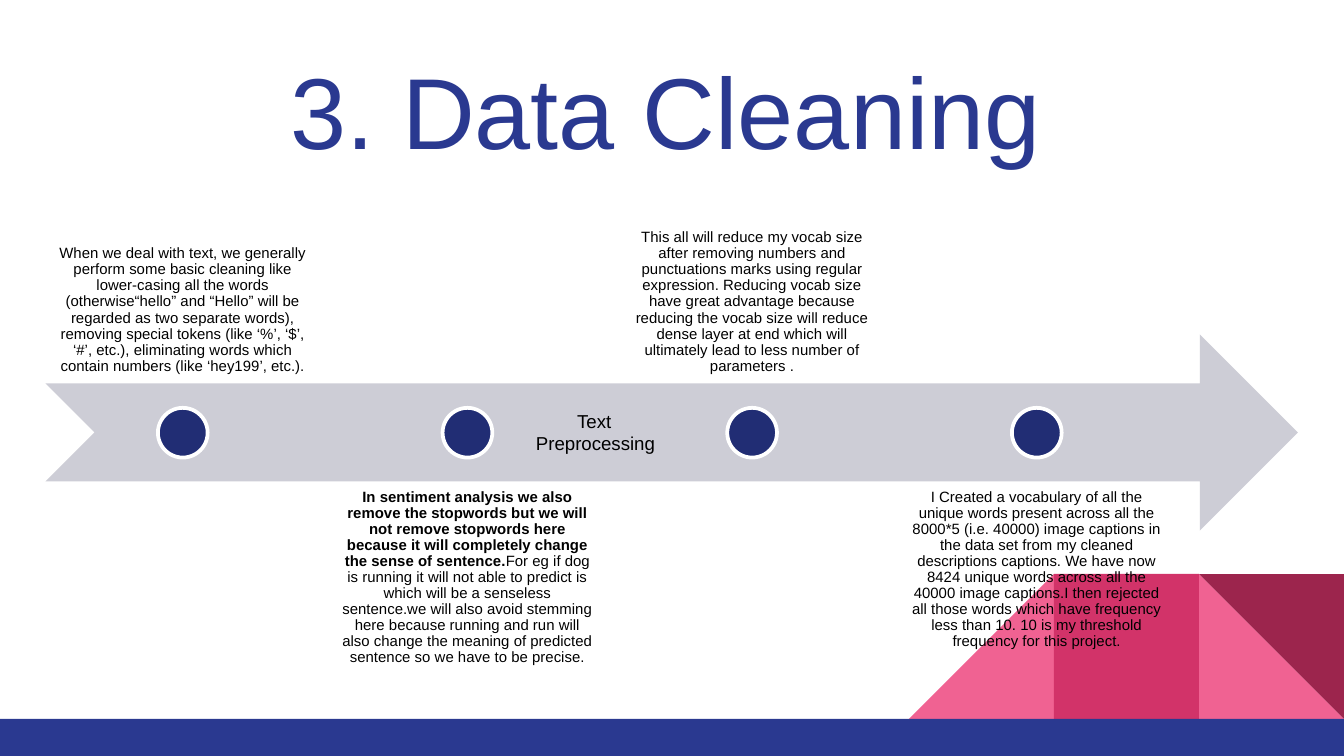
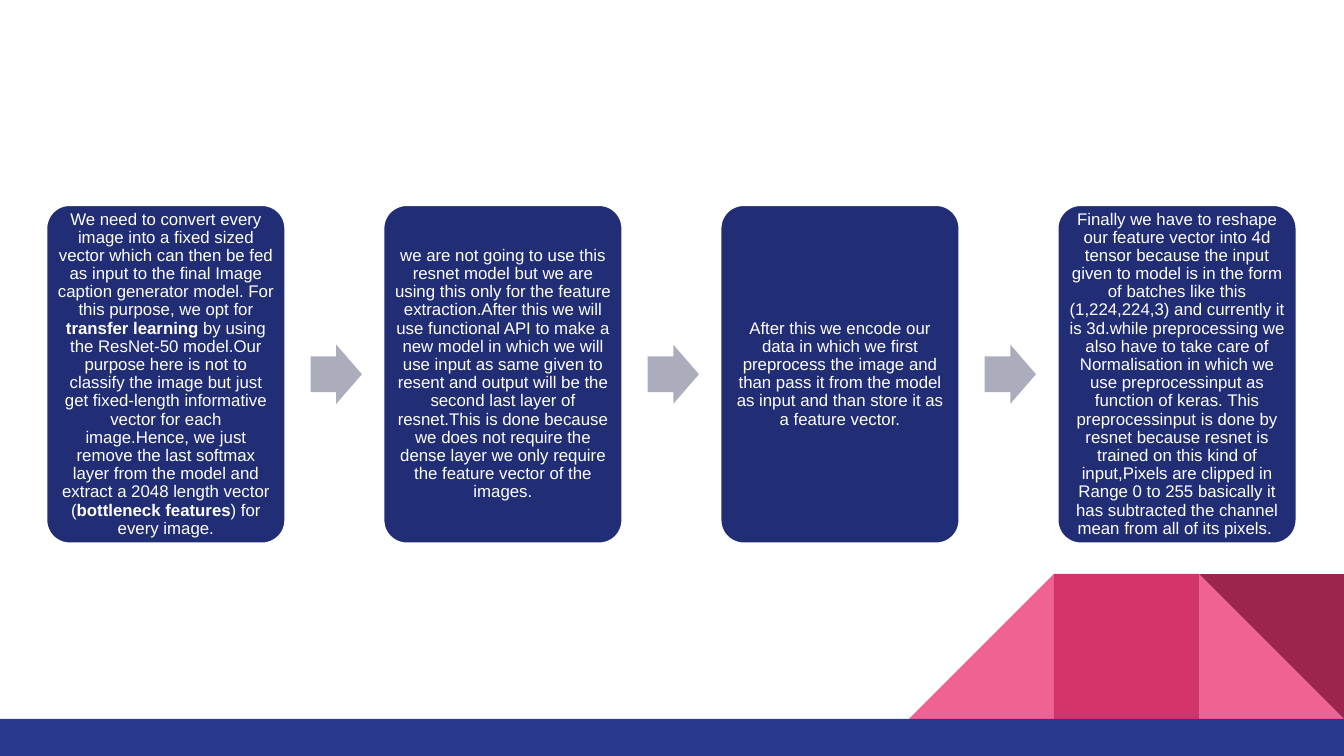
from pptx import Presentation
from pptx.dml.color import RGBColor
from pptx.enum import shapes, text
from pptx.util import Cm, Pt

COLORS = {
    "blue": "2A3990", "navy": "212D74", "silver": "CDCDD6", "steel": "ACADBC",
    "rose": "F06292", "crimson": "D23369", "wine": "9C254D",
    "white": "FFFFFF", "black": "000000",
}
FONT = "Arial"
SLIDE_W, SLIDE_H = 25.4, 14.29
BAND_TOP = 13.59
TILE = 2.74  # side of the squares in the corner ornament

SHAPE = shapes.MSO_SHAPE
ANCHOR = text.MSO_ANCHOR
CENTER = text.PP_ALIGN.CENTER

# Each text is a list of (words, bold) runs
CLEANING_STEPS = [
    [("When we deal with text, we generally perform some basic cleaning like "
      "lower-casing all the words (otherwise“hello” and “Hello” will be regarded "
      "as two separate words), removing special tokens (like ‘%’, ‘$’, ‘#’, etc.), "
      "eliminating words which contain numbers (like ‘hey199’, etc.).", False)],
    [("In sentiment analysis we also remove the stopwords but we will not remove "
      "stopwords here because it will completely change the sense of sentence.", True),
     ("For eg if dog is running it will not able to predict is which will be a "
      "senseless sentence.we will also avoid stemming here because running and run "
      "will also change the meaning of predicted sentence so we have to be precise.",
      False)],
    [("This all will reduce my vocab size after removing numbers and punctuations "
      "marks using regular expression. Reducing vocab size have great advantage "
      "because reducing the vocab size will reduce dense layer at end which will "
      "ultimately lead to less number of parameters .", False)],
    [("I Created a vocabulary of all the unique words present across all the 8000*5 "
      "(i.e. 40000) image captions in the data set from my cleaned descriptions "
      "captions. We have now 8424 unique words across all the 40000 image captions.I "
      "then rejected all those words which have frequency less than 10. 10 is my "
      "threshold frequency for this project.", False)],
]
FEATURE_STEPS = [
    [("We need to convert every image into a fixed sized vector which can then be fed "
      "as input to the final Image caption generator model. For this purpose, we opt "
      "for ", False),
     ("transfer learning", True),
     (" by using the ResNet-50 model.Our purpose here is not to classify the image but "
      "just get fixed-length informative vector for each image.Hence, we just remove "
      "the last softmax layer from the model and extract a 2048 length vector (", False),
     ("bottleneck features", True),
     (") for every image.", False)],
    [("we are not going to use this resnet model but we are using this only for the "
      "feature extraction.After this we will use functional API to make a new model in "
      "which we will use input as same given to resent and output will be the second "
      "last layer of resnet.This is done because we does not require the dense layer we "
      "only require the feature vector of the images.", False)],
    [("After this we encode our data in which we first preprocess the image and than "
      "pass it from the model as input and than store it as a feature vector.", False)],
    [("Finally we have to reshape our feature vector into 4d tensor because the input "
      "given to model is in the form of batches like this (1,224,224,3) and currently "
      "it is 3d.while preprocessing we also have to take care of Normalisation in which "
      "we use preprocessinput as function of keras. This preprocessinput is done by "
      "resnet because resnet is trained on this kind of input,Pixels are clipped in "
      "Range 0 to 255 basically it has subtracted the channel mean from all of its "
      "pixels. ", False)],
]


def rgb(color):
    return RGBColor.from_string(COLORS[color])


def set_values(target, values):
    for name, value in values.items():
        setattr(target, name, value)


def add_figure(slide, kind, box, fill, outline=None, turn=0, adjust=()):
    figure = slide.shapes.add_shape(kind, *map(Cm, box))
    figure.shadow.inherit = False
    figure.rotation = turn
    figure.fill.solid()
    figure.fill.fore_color.rgb = rgb(fill)
    if outline:
        figure.line.color.rgb = rgb(outline)
        figure.line.width = Pt(2)
    else:
        figure.line.fill.background()
    for index, value in enumerate(adjust):
        figure.adjustments[index] = value
    return figure


def write(holder, runs, size, color, inset=None, anchor=ANCHOR.TOP, wrap=True,
          align=CENTER, spacing=None):
    frame = holder.text_frame
    values = {"word_wrap": wrap, "vertical_anchor": anchor}
    if inset is not None:
        sides = ("left", "top", "right", "bottom")
        values.update({f"margin_{side}": Cm(inset) for side in sides})
    set_values(frame, values)
    paragraph = frame.paragraphs[0]
    set_values(paragraph, {"alignment": align, "line_spacing": spacing})
    for words, bold in runs:
        run = paragraph.add_run()
        run.text = words
        set_values(run.font, {"name": FONT, "size": Pt(size), "bold": bold})
        run.font.color.rgb = rgb(color)
    return paragraph


def add_text(slide, box, runs, size, color, **layout):
    return write(slide.shapes.add_textbox(*map(Cm, box)), runs, size, color, **layout)


def add_base(deck):
    """Blank slide with the corner ornament and the bottom band."""
    slide = deck.slides.add_slide(deck.slide_layouts[6])
    ornament = [  # column from the right edge, kind, fill, turn
        (1, SHAPE.RIGHT_TRIANGLE, "rose", 0),
        (3, SHAPE.RIGHT_TRIANGLE, "rose", 270),
        (2, SHAPE.RECTANGLE, "crimson", 0),
        (1, SHAPE.RIGHT_TRIANGLE, "wine", 180),
    ]
    for column, kind, fill, turn in ornament:
        box = (SLIDE_W - column * TILE, BAND_TOP - TILE, TILE, TILE)
        add_figure(slide, kind, box, fill, turn=turn)
    add_figure(slide, SHAPE.RECTANGLE,
               (0, BAND_TOP, SLIDE_W, SLIDE_H - BAND_TOP), "blue")
    return slide


def add_timeline(slide, steps):
    left, pitch, width, height = 0.89, 5.38, 5.13, 3.7
    above, below, axis, dot = 3.53, 9.1, 8.18, 0.94
    add_figure(slide, SHAPE.NOTCHED_RIGHT_ARROW, (0.86, 6.32, 23.67, 3.71), "silver")
    for index, runs in enumerate(steps):
        x = left + index * pitch
        top, anchor = (below, ANCHOR.TOP) if index % 2 else (above, ANCHOR.BOTTOM)
        add_text(slide, (x, top, width, height), runs, 8, "black",
                 inset=0.15, anchor=anchor, spacing=0.9)
        add_figure(slide, SHAPE.OVAL,
                   (x + (width - dot) / 2, axis - dot / 2, dot, dot), "navy", "white")


def add_process(slide, steps):
    left, top, width, height, pitch = 0.86, 3.86, 4.55, 6.43, 6.37
    arrow_w, arrow_h, arrow_gap = 0.97, 1.12, 0.46
    for index, runs in enumerate(steps):
        x = left + index * pitch
        if index:
            arrow_box = (x - pitch + width + arrow_gap, top + (height - arrow_h) / 2,
                         arrow_w, arrow_h)
            add_figure(slide, SHAPE.RIGHT_ARROW, arrow_box, "steel", adjust=(0.6, 0.5))
        card = add_figure(slide, SHAPE.ROUNDED_RECTANGLE, (x, top, width, height),
                          "navy", "white", adjust=(0.1,))
        write(card, runs, 9, "white", inset=0.1, anchor=ANCHOR.MIDDLE, spacing=0.9)


def main():
    deck = Presentation()
    set_values(deck, {"slide_width": Cm(SLIDE_W), "slide_height": Cm(SLIDE_H)})

    # Data cleaning timeline
    cleaning = add_base(deck)
    add_timeline(cleaning, CLEANING_STEPS)
    add_text(cleaning, (5.16, 0.79, 15.37, 2.57), [("3. Data Cleaning ", False)],
             54, "blue", wrap=False)
    stage = add_text(cleaning, (9.88, 7.62, 3.23, 1.12), [("Text Preprocessing", False)],
                     10, "black", align=text.PP_ALIGN.LEFT)
    stage_format = stage._p.get_or_add_pPr()
    stage_format.set("marL", "0")
    stage_format.set("indent", str(Cm(0.78)))

    # Feature extraction process
    features = add_base(deck)
    add_process(features, FEATURE_STEPS)

    deck.save("out.pptx")


if __name__ == "__main__":
    main()
